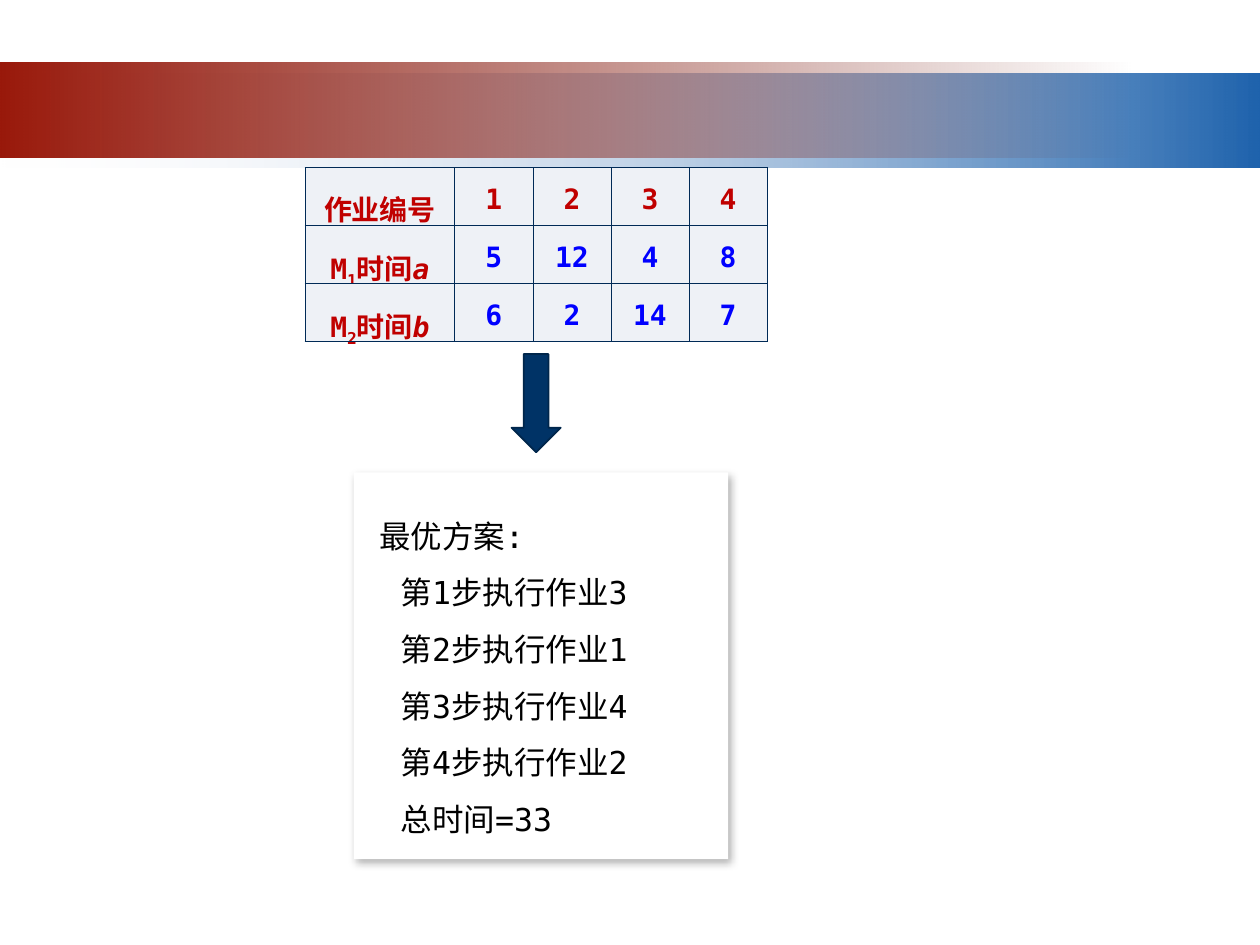
"""Build a slide with a job-time table leading down to the optimal schedule."""
from lxml import etree
from pptx import Presentation, util as u
from pptx.dml.color import RGBColor
from pptx.enum import shapes, text
from pptx.oxml import parse_xml
from pptx.oxml.ns import nsdecls, qn

COLORS = {"heading": "C00000", "value": "0000FF", "cell": "EEF1F6", "border": "002A56",
          "arrow": "003366", "arrow_line": "00264B", "white": "FFFFFF", "black": "000000",
          "pale": "F1F2F7", "blue": "1F63AD", "red": "99190B", "dark_red": "6D1208"}
FONT = "DejaVu Sans Mono"


def add_run(paragraph, content, size, color, bold=False, italic=False):
    run = paragraph.add_run()
    run.text = content
    run.font.name, run.font.size = FONT, u.Pt(size)
    run.font.bold, run.font.italic = bold, italic
    run.font.color.rgb = RGBColor.from_string(COLORS[color])
    return run


def add_panel(kind, left, top, width, height, fill):
    shape = slide.shapes.add_shape(kind, *map(u.Inches, (left, top, width, height)))
    shape.shadow.inherit = False
    shape.fill.solid()
    shape.fill.fore_color.rgb = RGBColor.from_string(COLORS[fill])
    shape.line.fill.background()
    return shape


presentation = Presentation()
presentation.slide_width, presentation.slide_height = u.Inches(10), u.Inches(7.5)
slide = presentation.slides.add_slide(presentation.slide_layouts[6])

bands = [(0.58, 10, ("pale", 0), ("blue", 100)), (0.5, 9, ("red", 100), ("dark_red", 0))]
for top, width, *stops in bands:
    band = add_panel(shapes.MSO_SHAPE.RECTANGLE, 0, top, width, 0.75, "white")
    band.fill.gradient()
    band.fill.gradient_angle = 0
    for stop, (color, opacity) in zip(band.fill.gradient_stops, stops):
        stop.color.rgb = RGBColor.from_string(COLORS[color])
    stop_colors = band.element.spPr.iter(qn("a:srgbClr"))
    for stop_color, (color, opacity) in zip(stop_colors, stops):
        etree.SubElement(stop_color, qn("a:alpha"), val=str(opacity * 1000))

plan = add_panel(shapes.MSO_SHAPE.RECTANGLE, 2.81, 3.75, 2.97, 3.07, "white")
effects = plan.element.spPr.find(qn("a:effectLst"))
effects.append(parse_xml(
    f'<a:outerShdw {nsdecls("a")} blurRad="{u.Pt(4.5)}" dist="{u.Pt(2.6)}" dir="{53 * 60000}" '
    f'algn="tl" rotWithShape="0"><a:srgbClr val="{COLORS["black"]}"><a:alpha val="30000"/>'
    '</a:srgbClr></a:outerShdw>'))
frame = plan.text_frame
frame.word_wrap = True
frame.auto_size = text.MSO_AUTO_SIZE.SHAPE_TO_FIT_TEXT
frame.vertical_anchor = text.MSO_ANCHOR.TOP
frame.margin_left = frame.margin_top = frame.margin_bottom = u.Inches(0.2)
frame.margin_right = u.Inches(0.1)
steps = [f"第{step}步执行作业{job}" for step, job in enumerate((3, 1, 4, 2), 1)]
for index, line in enumerate(["最优方案:", *steps, "总时间=33"]):
    paragraph = frame.add_paragraph() if index else frame.paragraphs[0]
    paragraph.alignment = text.PP_ALIGN.LEFT
    paragraph.line_spacing = 1.5
    if index:
        paragraph._p.get_or_add_pPr().set("marL", str(u.Inches(0.17)))
    add_run(paragraph, line, 18, "black")

rows = [[["作业编号"], 1, 2, 3, 4],
        [["M", "1", "时间", "a"], 5, 12, 4, 8],
        [["M", "2", "时间", "b"], 6, 2, 14, 7]]
table = slide.shapes.add_table(3, 5, *map(u.Inches, (2.42, 1.33, 3.66, 1.38))).table
for index, column in enumerate(table.columns):
    column.width = u.Inches(0.62 if index else 1.19)
for row_index, values in enumerate(rows):
    table.rows[row_index].height = u.Inches(0.46)
    for column_index, value in enumerate(values):
        cell = table.cell(row_index, column_index)
        cell.margin_left = cell.margin_right = u.Inches(0.07)
        cell.margin_top = cell.margin_bottom = 0
        paragraph = cell.text_frame.paragraphs[0]
        paragraph.alignment = text.PP_ALIGN.CENTER
        paragraph.line_spacing = 1.5
        color = "value" if row_index and column_index else "heading"
        for part in value if column_index == 0 else [str(value)]:
            run = add_run(paragraph, part, 16, color, True, part in ("a", "b"))
            if column_index == 0 and part.isdigit():
                run.font._element.set("baseline", "-25000")
        properties = cell._tc.get_or_add_tcPr()
        for side in ("lnL", "lnR", "lnT", "lnB"):
            properties.append(parse_xml(
                f'<a:{side} {nsdecls("a")} w="{u.Pt(0.5)}"><a:solidFill>'
                f'<a:srgbClr val="{COLORS["border"]}"/></a:solidFill></a:{side}>'))
        cell.fill.solid()
        cell.fill.fore_color.rgb = RGBColor.from_string(COLORS["cell"])

arrow = add_panel(shapes.MSO_SHAPE.DOWN_ARROW, 4.06, 2.81, 0.39, 0.78, "arrow")
arrow.line.color.rgb = RGBColor.from_string(COLORS["arrow_line"])
arrow.line.width = u.Pt(1)

presentation.save("out.pptx")
